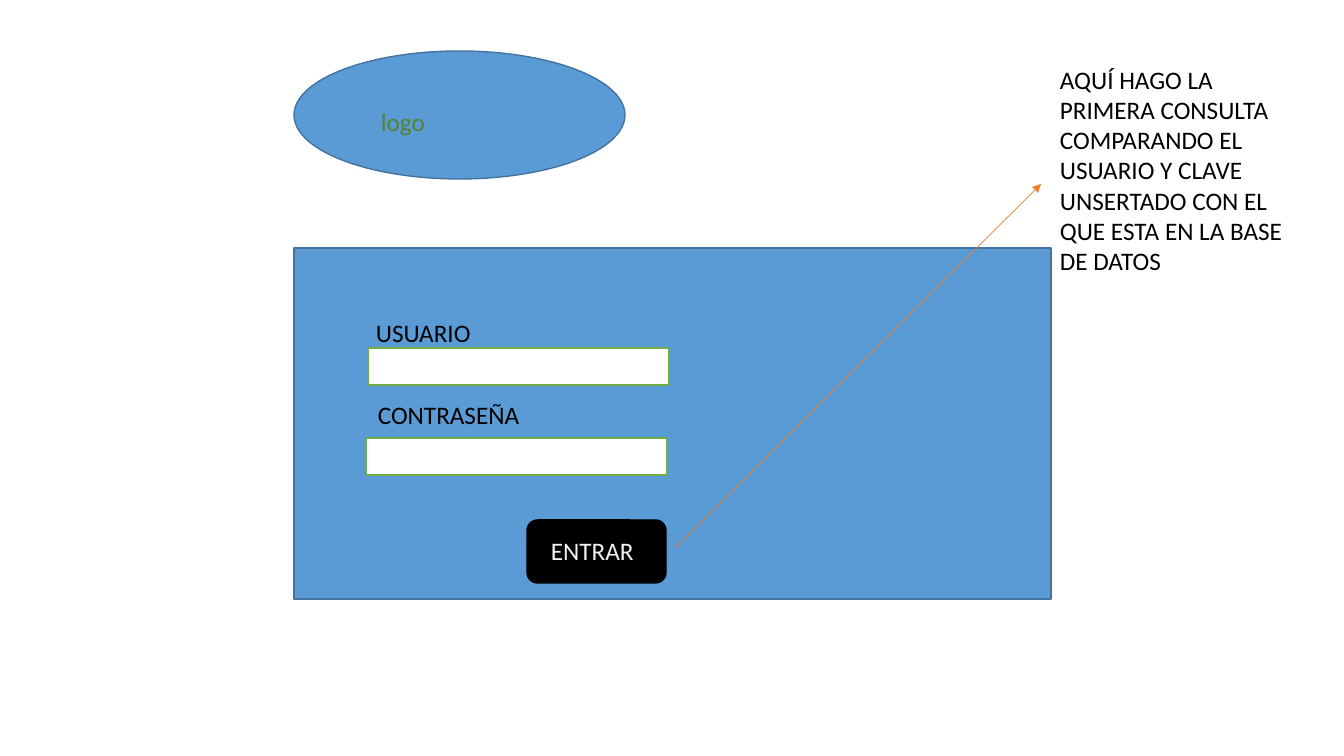
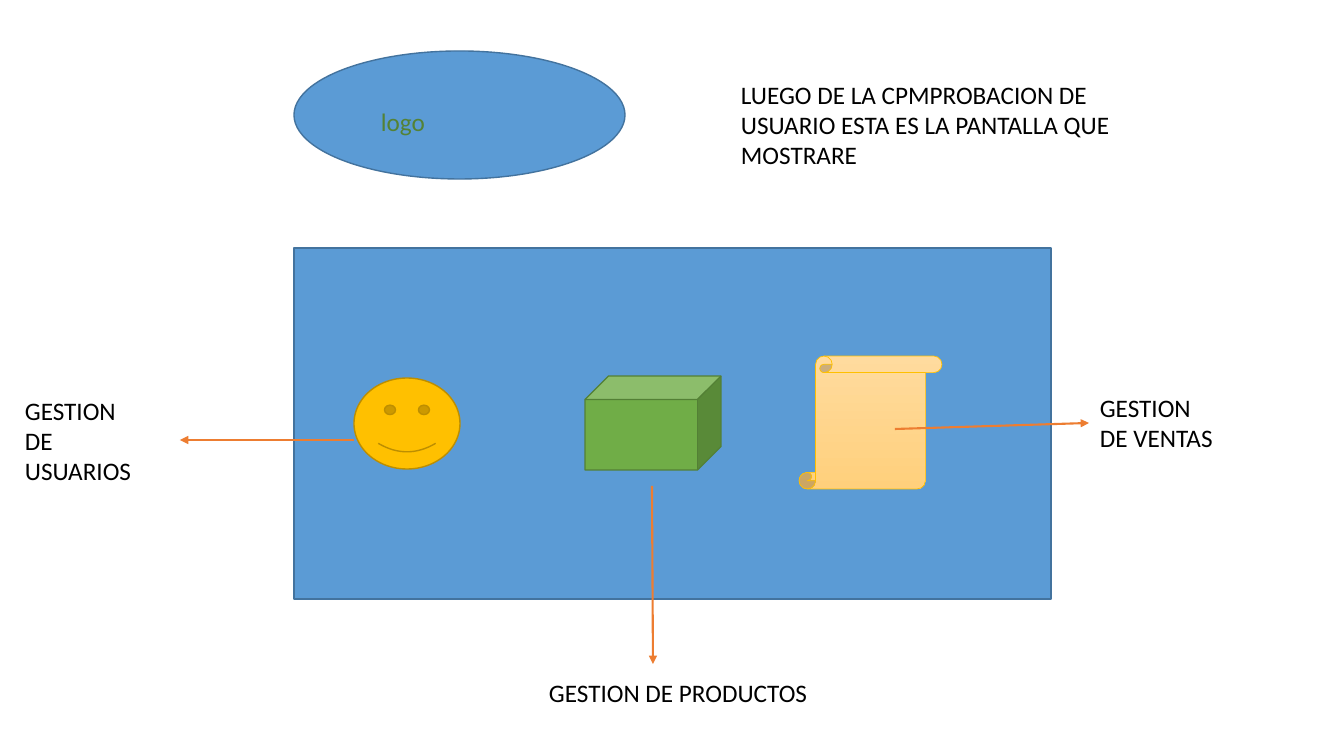
"""Build two wireframe slides: a login screen and the management menu that follows it."""
from dataclasses import dataclass

from lxml.etree import SubElement
from pptx import Presentation
from pptx.dml.color import RGBColor
from pptx.enum.shapes import MSO_CONNECTOR, MSO_SHAPE
from pptx.enum.text import MSO_AUTO_SIZE
from pptx.oxml.ns import qn
from pptx.util import Emu, Pt


@dataclass(frozen=True)
class Theme:
    font: str = "Calibri"
    size: float = 18
    outline: float = 1
    thin: float = 0.5
    arrow: float = 1.5
    text: str = "000000"
    button: str = "000000"
    button_text: str = "F2F2F2"
    logo_text: str = "548235"
    panel: str = "5B9BD5"
    panel_line: str = "43739E"
    field: str = "FFFFFF"
    green: str = "70AD47"
    cube_line: str = "538035"
    gold: str = "FFC000"
    smiley_line: str = "BD8E00"
    scroll: tuple = ("FFDB9E", "FFD07C")
    accent: str = "ED7D31"


THEME = Theme()
SLIDE_SIZE = (1344, 756)
LOGO = ("logo", (294, 51, 331, 128), (371, 101, 176, 40))
PANEL = (294, 248, 757, 351)

FIELD_SIZE = (301, 37)
LABEL_SIZE = (250, 40)
LOGIN_FIELDS = [
    ("USUARIO", (366, 312), (368, 348)),
    ("CONTRASEÑA", (368, 394), (366, 438)),
]
BUTTON = ("ENTRAR", (541, 530), (527, 520, 139, 63))
LOGIN_ARROW = ((675, 548), (1041, 184))
LOGIN_NOTE = (
    "AQUÍ HAGO LA PRIMERA CONSULTA COMPARANDO EL USUARIO Y CLAVE "
    "UNSERTADO CON EL QUE ESTA EN LA BASE DE DATOS",
    (1050, 59, 248, 224),
)

MENU_NOTE = (
    "LUEGO DE LA CPMPROBACION DE USUARIO ESTA ES LA PANTALLA QUE MOSTRARE",
    (731, 74, 453, 102),
)
MENU_ICONS = [
    (MSO_SHAPE.SMILEY_FACE, (354, 378, 106, 91), THEME.gold, THEME.smiley_line, THEME.outline),
    (MSO_SHAPE.CUBE, (585, 376, 136, 94), THEME.green, THEME.cube_line, THEME.outline),
    (MSO_SHAPE.VERTICAL_SCROLL, (799, 356, 143, 133), THEME.scroll, THEME.gold, THEME.thin),
]
MENU_LINKS = [
    ("GESTION DE USUARIOS", (15, 390, 137, 102), ((354, 440), (180, 440))),
    ("GESTION DE PRODUCTOS", (539, 672, 453, 40), ((652, 486), (653, 664))),
    ("GESTION DE VENTAS", (1090, 387, 137, 72), ((895, 429), (1089, 423))),
]


def pixels(*lengths):
    """Turn pixel lengths into EMU."""
    return [Emu(round(length * 914400 / 100.8)) for length in lengths]


def color(value):
    """Turn a hex value into a colour."""
    return RGBColor.from_string(value)


def add_text(shapes, text, place, *, ink=THEME.text, size=THEME.size, font=THEME.font):
    """Add a wrapping text box."""
    box = shapes.add_textbox(*pixels(*place))
    frame = box.text_frame
    frame.word_wrap = True
    frame.auto_size = MSO_AUTO_SIZE.SHAPE_TO_FIT_TEXT
    span = frame.paragraphs[0].add_run()
    span.text = text
    span.font.name = font
    span.font.size = Pt(size)
    span.font.color.rgb = color(ink)


def add_figure(shapes, kind, place, fill, line, width=THEME.outline):
    """Add a preset shape with a solid fill, or a vertical gradient for a pair of colours."""
    figure = shapes.add_shape(kind, *pixels(*place))
    figure.shadow.inherit = False
    if isinstance(fill, tuple):
        figure.fill.gradient()
        figure.fill.gradient_angle = 270
        for stop, value in zip(figure.fill.gradient_stops, fill):
            stop.color.rgb = color(value)
    else:
        figure.fill.solid()
        figure.fill.fore_color.rgb = color(fill)
    figure.line.color.rgb = color(line)
    figure.line.width = Pt(width)


def add_arrow(shapes, start, end, width=THEME.arrow):
    """Add a straight arrow from start to end."""
    arrow = shapes.add_connector(MSO_CONNECTOR.STRAIGHT, *pixels(*start, *end))
    arrow.line.color.rgb = color(THEME.accent)
    arrow.line.width = Pt(width)
    properties = arrow.element.spPr
    SubElement(properties.find(qn("a:ln")), qn("a:tailEnd"), type="triangle")
    SubElement(properties, qn("a:effectLst"))


def add_screen(deck):
    """Add a slide with the shared logo and panel and return its shapes."""
    shapes = deck.slides.add_slide(deck.slide_layouts[6]).shapes
    logo = shapes.add_group_shape().shapes
    text, oval, label = LOGO
    add_figure(logo, MSO_SHAPE.OVAL, oval, THEME.panel, THEME.panel_line)
    add_text(logo, text, label, ink=THEME.logo_text)
    add_figure(shapes, MSO_SHAPE.RECTANGLE, PANEL, THEME.panel, THEME.panel_line)
    return shapes


def build_login(deck):
    """Build the login screen."""
    shapes = add_screen(deck)
    for label, label_corner, field_corner in LOGIN_FIELDS:
        add_figure(shapes, MSO_SHAPE.RECTANGLE, field_corner + FIELD_SIZE, THEME.field, THEME.green)
        add_text(shapes, label, label_corner + LABEL_SIZE)
    text, corner, place = BUTTON
    add_figure(shapes, MSO_SHAPE.ROUNDED_RECTANGLE, place, THEME.button, THEME.button)
    add_text(shapes, text, corner + LABEL_SIZE, ink=THEME.button_text)
    add_arrow(shapes, *LOGIN_ARROW, width=THEME.thin)
    add_text(shapes, *LOGIN_NOTE)


def build_menu(deck):
    """Build the management menu."""
    shapes = add_screen(deck)
    for icon in MENU_ICONS:
        add_figure(shapes, *icon)
    add_text(shapes, *MENU_NOTE)
    for label, place, ends in MENU_LINKS:
        add_arrow(shapes, *ends)
        add_text(shapes, label, place)


def main():
    """Build and save the deck."""
    deck = Presentation()
    deck.slide_width, deck.slide_height = pixels(*SLIDE_SIZE)
    build_login(deck)
    build_menu(deck)
    deck.save("out.pptx")


main()
